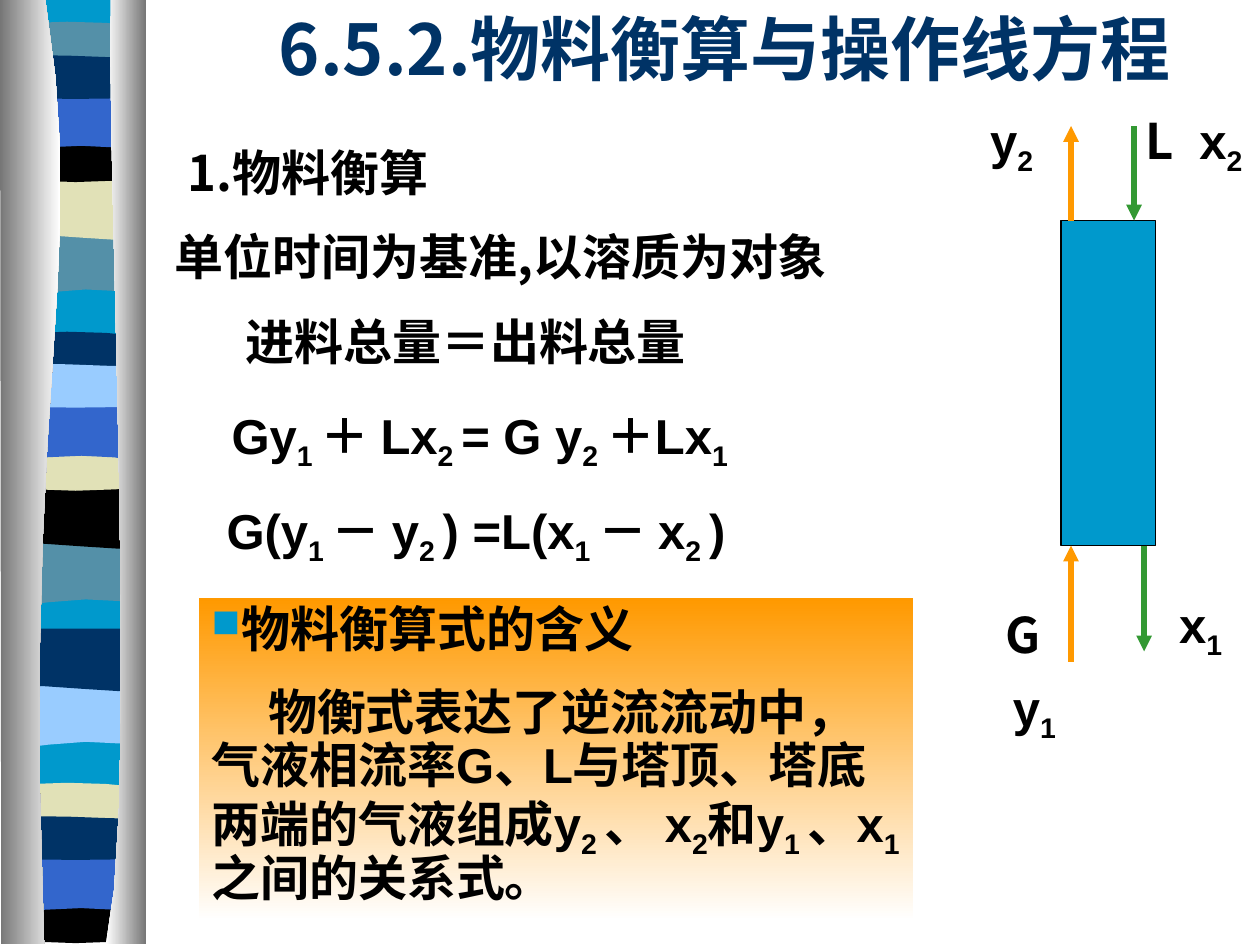
from lxml import etree
from pptx import Presentation
from pptx.dml.color import RGBColor
from pptx.enum.shapes import MSO_CONNECTOR, MSO_SHAPE
from pptx.enum.text import MSO_ANCHOR, PP_ALIGN
from pptx.oxml.ns import qn
from pptx.util import Inches, Pt

RECT = MSO_SHAPE.RECTANGLE
STRAIGHT = MSO_CONNECTOR.STRAIGHT
TOP, MIDDLE = MSO_ANCHOR.TOP, MSO_ANCHOR.MIDDLE
LEFT, CENTER = PP_ALIGN.LEFT, PP_ALIGN.CENTER
LATIN, CJK = "Arial", "Noto Sans CJK SC"

COLORS = {
    "sky": "0099CC", "steel": "5490A8", "cream": "E1E1B7", "black": "000000",
    "blue": "3366CC", "navy": "003366", "pale": "99CCFF", "grey": "767676",
    "white": "FFFFFF", "orange": "FF9900", "green": "339933",
}

BAND_FORMS = {
    "wave": [(1.08, 0), (1.08, 0.47), (0.33, 0.39, 0.18, 0.55, 0, 0.47), (0, 0)],
    "sweep": [(1.08, 0), (1.08, 0.47), (0.9, 0.55, 0.33, 0.41, 0, 0.47), (0, 0)],
    "thin": [(1.08, 0.05), (1.08, 0.29), (0.9, 0.33, 0.18, 0.33, 0, 0.29), (0, 0.05),
             (0.2, 0, 0.7, 0, 1.08, 0.05)],
    "dip": [(1.08, 0), (1.08, 0.32), (0.9, 0.38, 0.18, 0.38, 0, 0.32), (0, 0),
            (0.66, 0.05, 0.85, 0, 1.08, 0)],
    "arch": [(1.08, 0), (1.08, 0.47), (0.8, 0.4, 0.4, 0.4, 0, 0.47), (0, 0)],
    "ripple": [(1.08, 0.05), (1.08, 0.36), (0.9, 0.38, 0.18, 0.38, 0, 0.36), (0, 0.05),
               (0.15, 0, 0.73, 0.05, 1.08, 0.05)],
}
BANDS = [
    ("wave", 1.85, "steel"), ("sweep", 1.41, "cream"), ("thin", 0.16, "steel"),
    ("dip", 1.08, "black"), ("arch", 0.74, "blue"), ("ripple", 0.41, "navy"),
    ("wave", 4.31, "steel"), ("sweep", 3.86, "black"), ("thin", 2.62, "navy"),
    ("dip", 3.53, "cream"), ("arch", 3.2, "blue"), ("ripple", 2.86, "pale"),
    ("wave", 5.44, "pale"), ("sweep", 4.99, "navy"), ("thin", 6.2, "cream"),
    ("dip", 7.12, "black"), ("arch", 6.79, "blue"), ("ripple", 6.45, "navy"),
]
CURTAINS = [
    ([(0.36, 0), (0.71, 2.16, 0.17, 2.96, 0.35, 7.49), (0.01, 7.49), (0, 0)], "grey", "white"),
    ([(0.88, 0), (0.84, 1.25, 1.11, 6.46, 0.84, 7.49), (1.16, 7.49), (1.16, 0)], "white", "grey"),
]
ARROWS = [
    (8.5, 5.25, 4.33, "orange"), (8.5, 1.75, 1, "orange"),
    (9, 1, 1.75, "green"), (9.08, 4.33, 5.17, "green"),
]
LABELS = [
    ("G", 7.88, 4.75, CJK), ("L", 8.99, 0.83, CJK), ("y|1", 7.94, 5.33, LATIN),
    ("y|2", 7.76, 0.83, LATIN), ("x|2", 9.42, 0.83, LATIN), ("x|1", 9.26, 4.67, LATIN),
    ("1.物料衡算", 1.39, 1.08, CJK), ("单位时间为基准,以溶质为对象", 1.29, 1.75, CJK),
    ("进料总量＝出料总量", 1.85, 2.42, CJK),
    ("Gy|1 |＋ Lx|2 |= G y|2 |＋Lx|1", 1.74, 3.17, LATIN),
    ("G(y|1 |－ y|2 |) =L(x|1 |－ x|2 |)", 1.7, 3.92, LATIN),
]
MEANING = ("物衡式表达了逆流流动中，气液相流率G、L与塔顶、塔底两端的气液组成y|2 |、 x|2|"
           "和y|1 |、x|1|之间的关系式。")


def rgb(name):
    return RGBColor.from_string(COLORS[name])


def flatten(path, steps):
    """Turn line and cubic segments into a list of points."""
    points = [path[0]]
    for seg in path[1:]:
        if len(seg) == 2:
            points.append(seg)
            continue
        x0, y0 = points[-1]
        x1, y1, x2, y2, x3, y3 = seg
        for i in range(1, steps + 1):
            t = i / steps
            a, b, c, d = (1 - t) ** 3, 3 * t * (1 - t) ** 2, 3 * t * t * (1 - t), t ** 3
            points.append((a * x0 + b * x1 + c * x2 + d * x3,
                           a * y0 + b * y1 + c * y2 + d * y3))
    return points


def set_gradient(sp, start, end, angle):
    sp.fill.gradient()
    sp.fill.gradient_angle = angle
    for stop, name in zip(sp.fill.gradient_stops, (start, end)):
        stop.color.rgb = rgb(name)


def add_outline(s, path, left=0, top=0, color="sky", steps=4):
    points = [(Inches(left + x), Inches(top + y)) for x, y in flatten(path, steps)]
    fb = s.shapes.build_freeform(*points[0], scale=1.0)
    fb.add_line_segments(points[1:], close=True)
    sp = fb.convert_to_shape()
    sp.shadow.inherit = False
    sp.line.fill.background()
    sp.fill.solid()
    sp.fill.fore_color.rgb = rgb(color)
    return sp


def add_rect(s, left, top, width, height):
    sp = s.shapes.add_shape(RECT, Inches(left), Inches(top), Inches(width), Inches(height))
    sp.shadow.inherit = False
    sp.line.fill.background()
    return sp


def add_arrow(s, x, y1, y2, color):
    cx = s.shapes.add_connector(STRAIGHT, Inches(x), Inches(y1), Inches(x), Inches(y2))
    cx.line.color.rgb = rgb(color)
    cx.line.width = Pt(3)
    etree.SubElement(cx.line._get_or_add_ln(), qn("a:tailEnd"), type="triangle")
    etree.SubElement(cx._element.spPr, qn("a:effectLst"))


def write(p, text, font=LATIN, size=28, color="black", align=LEFT):
    """Write text whose parts between bars are subscripts."""
    p.alignment = align
    for i, part in enumerate(text.split("|")):
        if not part:
            continue
        r = p.add_run()
        r.text = part
        r.font.size = Pt(size)
        r.font.bold = True
        r.font.name = font
        r.font.color.rgb = rgb(color)
        etree.SubElement(r.font._element, qn("a:ea"), typeface=CJK)
        if i % 2:
            r.font._element.set("baseline", "-25000")


def add_label(s, text, left, top, font):
    width = 0.58 if len(text) < 4 else 5.56
    sp = s.shapes.add_textbox(Inches(left), Inches(top), Inches(width), Inches(0.6))
    sp.text_frame.word_wrap = False
    write(sp.text_frame.paragraphs[0], text, font=font)


def set_indent(p, margin, first):
    pPr = p._p.get_or_add_pPr()
    pPr.set("marL", str(Inches(margin)))
    pPr.set("indent", str(Inches(first)))
    return pPr


def add_bullet(p):
    pPr = set_indent(p, 0.24, -0.24)
    clr = etree.SubElement(pPr, qn("a:buClr"))
    etree.SubElement(clr, qn("a:srgbClr"), val=COLORS["sky"])
    etree.SubElement(pPr, qn("a:buSzPct"), val="80000")
    etree.SubElement(pPr, qn("a:buChar"), char="■")


def add_meaning(s):
    sp = add_rect(s, 1.58, 4.75, 5.67, 2.56)
    set_gradient(sp, "orange", "white", 270)
    tf = sp.text_frame
    tf.word_wrap = True
    tf.vertical_anchor = TOP
    p = tf.paragraphs[0]
    add_bullet(p)
    p.line_spacing = 0.9
    write(p, "物料衡算式的含义", font=CJK)
    p = tf.add_paragraph()
    set_indent(p, 0, 0.45)
    p.line_spacing = 0.9
    p.space_before = Pt(17.5)
    write(p, MEANING)


def add_title(s):
    sp = s.shapes.title
    sp.left, sp.top, sp.width, sp.height = Inches(1.5), 0, Inches(8.5), Inches(0.75)
    sp.text_frame.vertical_anchor = MIDDLE
    write(sp.text_frame.paragraphs[0], "6.5.2.物料衡算与操作线方程",
          font=CJK, size=40, color="navy", align=CENTER)


def add_ribbon(s):
    add_outline(s, [(1.14, 0), (1.14, 7.47), (0.06, 7.47), (0.06, 0)])
    for form, top, color in BANDS:
        add_outline(s, BAND_FORMS[form], 0.06, top, color)
    for path, start, end in CURTAINS:
        set_gradient(add_outline(s, path, steps=10), start, end, 0)


def add_tower(s):
    sp = add_rect(s, 8.42, 1.75, 0.75, 2.58)
    sp.fill.solid()
    sp.fill.fore_color.rgb = rgb("sky")
    sp.line.color.rgb = rgb("black")
    sp.line.width = Pt(0.75)
    for arrow in ARROWS:
        add_arrow(s, *arrow)


def main():
    prs = Presentation()
    prs.slide_width, prs.slide_height = Inches(10), Inches(7.5)
    s = prs.slides.add_slide(prs.slide_layouts[5])
    add_ribbon(s)
    add_title(s)
    add_tower(s)
    for label in LABELS:
        add_label(s, *label)
    add_meaning(s)
    prs.save("out.pptx")


if __name__ == "__main__":
    main()
